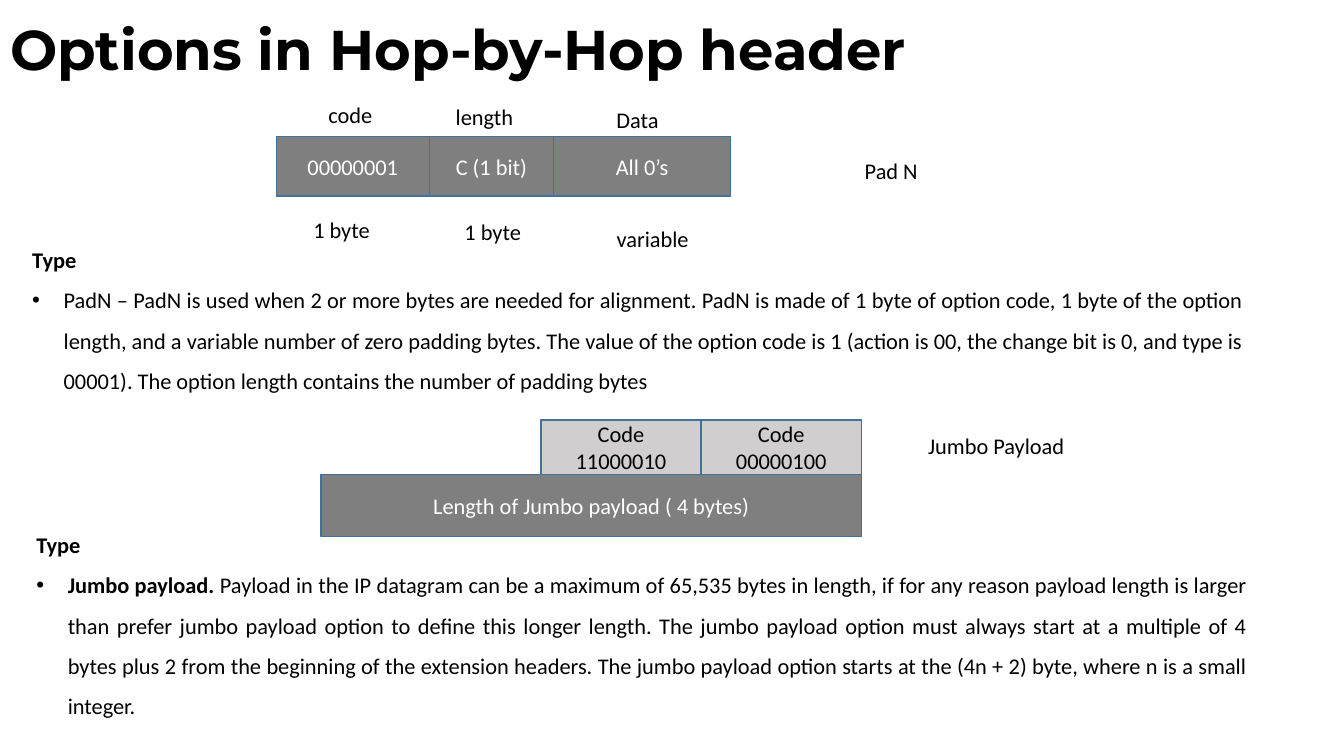
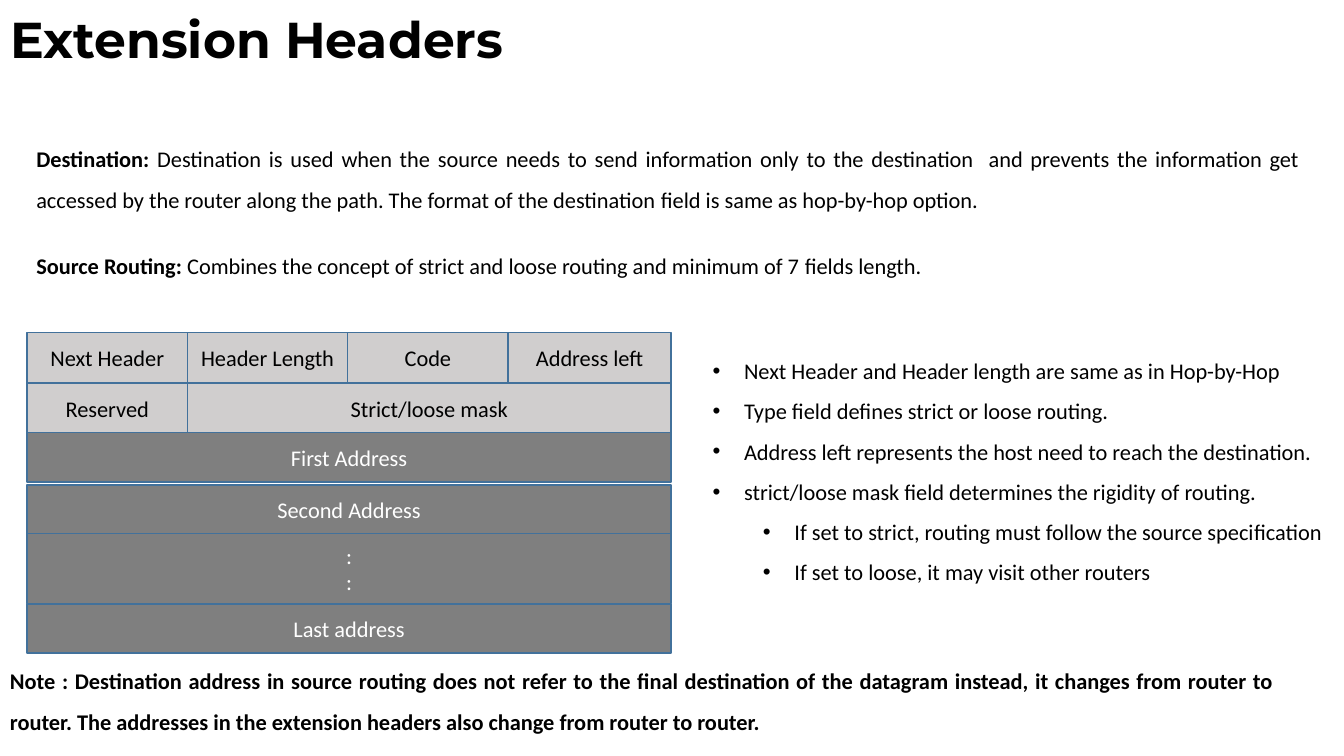
import pptx
import pptx.dml.color
import pptx.enum.text
import pptx.enum.shapes
import pptx.oxml.ns
import pptx.util
import lxml.etree
from dataclasses import dataclass

Pt = pptx.util.Pt
Align = pptx.enum.text.PP_ALIGN
Anchor = pptx.enum.text.MSO_ANCHOR


@dataclass(frozen=True)
class Theme:
    """Colours, fonts and sizes shared by both slides."""
    ink: str = "000000"
    paper: str = "FFFFFF"
    dark: str = "7F7F7F"
    light: str = "D0CECE"
    edge: str = "42719B"
    title_font: str = "Montserrat"
    body_font: str = "Calibri"
    body_size: int = 16
    leading: float = 1.5
    indent: float = 22.5
    level_step: float = 36
    label_height: float = 26.6


THEME = Theme()

# Paragraph: (level or None for no bullet, [(words, bold), ...], format overrides)
PADN = [
    (None, [("Type", True)], {}),
    (0, [("PadN – PadN is used when 2 or more bytes are needed for alignment. "
          "PadN is made of 1 byte of option code, 1 byte of the option length, and a "
          "variable number of zero padding bytes. The value of the option code is 1 "
          "(action is 00, the change bit is 0, and type is 00001). The option length "
          "contains the number of padding bytes", False)], {}),
]
JUMBO = [
    (None, [("Type", True)], {"line_spacing": 1.0}),
    (0, [("Jumbo payload. ", True),
         ("Payload in the IP datagram can be a maximum of 65,535 bytes in length, if for "
          "any reason payload length is larger than prefer jumbo payload option to deﬁne "
          "this longer length. The jumbo payload option must always start at a multiple of "
          "4 bytes plus 2 from the beginning of the extension headers. The jumbo payload "
          "option starts at the (4n + 2) byte, where n is a small integer.", False)], {}),
]
HEADERS = [
    (None, [("Destination: ", True),
            ("Destination is used when the source needs to send information only to the "
             "destination  and prevents the information get accessed by the router along "
             "the path. The format of the destination field is same as hop-by-hop option.",
             False)], {}),
    (None, [("Source Routing: ", True),
            ("Combines the concept of strict and loose routing and minimum of 7 fields "
             "length.", False)], {"space_before": Pt(18.3)}),
]
FIELDS = [(level, [(words, False)], {}) for level, words in [
    (0, "Next Header and Header length are same as in Hop-by-Hop"),
    (0, "Type field defines strict or loose routing."),
    (0, "Address left represents the host need to reach the destination."),
    (0, "strict/loose mask ﬁeld determines the rigidity of routing."),
    (1, "If set to strict, routing must follow the source specification"),
    (1, "If set to loose, it may visit other routers"),
]]
NOTE = [(None, [("Note : Destination address in source routing does not refer to the ﬁnal "
                 "destination of the datagram instead, it changes from router to router. The "
                 "addresses in the extension headers also change from router to router.",
                 True)], {})]

# Places are (left, top, width, height); rows are (left, top, height, tone, [(width, words)]);
# labels are (words, left, top, width, alignment).
SLIDES = [
    {
        "title": ("Options in Hop-by-Hop header", 40, 74.2),
        "bodies": [((15.8, 162.7, 879.8, 123.8), PADN), ((18.7, 375.8, 879.8, 143.3), JUMBO)],
        "rows": [
            (197.3, 97.5, 42.5, "dark",
             [(109.4, "00000001"), (88.6, "C (1 bit)"), (126.7, "All 0’s")]),
            (386.3, 300, 39.1, "light",
             [(114.5, "Code\n11000010"), (114.5, "Code\n00000100")]),
            (229.3, 339.1, 44, "dark", [(386, "Length of Jumbo payload ( 4 bytes)")]),
        ],
        "labels": [
            ("code", 216.7, 68.4, 67, Align.CENTER),
            ("length", 312.5, 69.8, 67, Align.CENTER),
            ("Data", 421.9, 72, 67, Align.CENTER),
            ("1 byte", 216.7, 151.2, 67, Align.LEFT),
            ("1 byte", 324.7, 152.6, 67, Align.LEFT),
            ("variable", 433.4, 157, 67, Align.LEFT),
            ("Pad N", 610.6, 108.7, 165.6, Align.LEFT),
            ("Jumbo Payload", 655.9, 305.3, 165.6, Align.LEFT),
        ],
        "notes": [],
    },
    {
        "title": ("Extension Headers", 36, 60.5),
        "bodies": [((18.7, 90.7, 917.3, 116.6), HEADERS), ((501.8, 241.9, 457.9, 181.4), FIELDS)],
        "rows": [
            (19.4, 237.6, 36, "light", [(114.5, "Next Header"), (114.5, "Header Length"),
                                        (114.5, "Code"), (116.5, "Address left")]),
            (19.4, 273.6, 36, "light", [(114.5, "Reserved"), (345.5, "Strict/loose mask")]),
            (19.4, 309, 35.3, "dark", [(460, "First Address")]),
            (19.4, 346.3, 35.3, "dark", [(460, "Second Address")]),
            (19.4, 381.2, 49.7, "dark", [(460, ":\n:")]),
            (19.4, 431.3, 35.3, "dark", [(460, "Last address")]),
        ],
        "labels": [],
        "notes": [((0, 463.7, 917.3, 65.5), NOTE)],
    },
]


def assign(target, values):
    """Set every attribute named in a dict of format values."""
    for name, value in values.items():
        setattr(target, name, value)


def colour(name):
    """Turn a theme colour's name into an RGB colour."""
    return pptx.dml.color.RGBColor.from_string(getattr(THEME, name))


def points(place):
    """Convert a tuple of numbers to lengths in points."""
    return [Pt(number) for number in place]


def style_frame(frame, anchor=Anchor.TOP):
    """Give a text frame wrapping, fixed size and common margins."""
    assign(frame, {"word_wrap": True, "auto_size": pptx.enum.text.MSO_AUTO_SIZE.NONE,
                   "vertical_anchor": anchor, "margin_left": Pt(7.2), "margin_right": Pt(7.2),
                   "margin_top": Pt(3.6), "margin_bottom": Pt(3.6)})


def add_span(para, words, bold=False, ink="ink", size=THEME.body_size, font=THEME.body_font):
    """Append one formatted run to a paragraph."""
    span = para.add_run()
    span.text = words
    assign(span.font, {"name": font, "size": Pt(size), "bold": bold})
    span.font.color.rgb = colour(ink)


def set_bullet(para, level):
    """Set a paragraph's indent and bullet, or neither if level is None."""
    props = para._p.get_or_add_pPr()
    qn = pptx.oxml.ns.qn
    if level is None:
        margin, indent = 0, 0
        lxml.etree.SubElement(props, qn("a:buNone"))
    else:
        para.level = level
        margin, indent = THEME.indent + level * THEME.level_step, -THEME.indent
        lxml.etree.SubElement(props, qn("a:buFont"), typeface="Arial")
        lxml.etree.SubElement(props, qn("a:buChar"), char="•")
    props.set("marL", str(int(Pt(margin))))
    props.set("indent", str(int(Pt(indent))))


def next_para(frame, index):
    """Return the frame's first paragraph, or a new one after it."""
    return frame.add_paragraph() if index else frame.paragraphs[0]


def write_passage(box, paras):
    """Fill a box with justified paragraphs and bullets."""
    style_frame(box.text_frame)
    for index, (level, spans, overrides) in enumerate(paras):
        para = next_para(box.text_frame, index)
        assign(para, {"alignment": Align.JUSTIFY, "line_spacing": THEME.leading,
                      "space_before": Pt(0), "space_after": Pt(0), **overrides})
        set_bullet(para, level)
        for words, bold in spans:
            add_span(para, words, bold)


def write_lines(box, words, align, ink="ink", anchor=Anchor.TOP):
    """Write short lines, one paragraph each."""
    style_frame(box.text_frame, anchor)
    for index, line in enumerate(words.split("\n")):
        para = next_para(box.text_frame, index)
        para.alignment = align
        add_span(para, line, ink=ink)


def place_box(box, place):
    """Move and size a placeholder."""
    assign(box, dict(zip(("left", "top", "width", "height"), points(place))))


def write_title(page, words, size, height):
    """Format the title placeholder."""
    title = page.shapes.title
    place_box(title, (0, 0, 797.8, height))
    style_frame(title.text_frame, Anchor.MIDDLE)
    para = title.text_frame.paragraphs[0]
    assign(para, {"alignment": Align.LEFT, "line_spacing": 0.9, "space_before": Pt(0)})
    add_span(para, words, True, size=size, font=THEME.title_font)


def add_row(page, left, top, height, tone, cells):
    """Draw header fields side by side."""
    for width, words in cells:
        field = page.shapes.add_shape(pptx.enum.shapes.MSO_SHAPE.RECTANGLE,
                                      *points((left, top, width, height)))
        field.shadow.inherit = False
        field.fill.solid()
        field.fill.fore_color.rgb = colour(tone)
        field.line.color.rgb = colour("edge")
        field.line.width = Pt(1)
        ink = "paper" if tone == "dark" else "ink"
        write_lines(field, words, Align.CENTER, ink, Anchor.MIDDLE)
        left += width


def build_page(deck, content):
    """Build one slide from its content."""
    page = deck.slides.add_slide(deck.slide_layouts[3])
    write_title(page, *content["title"])
    for index, (place, paras) in enumerate(content["bodies"], 1):
        body = page.placeholders[index]
        place_box(body, place)
        write_passage(body, paras)
    for row in content["rows"]:
        add_row(page, *row)
    for words, left, top, width, align in content["labels"]:
        label = page.shapes.add_textbox(*points((left, top, width, THEME.label_height)))
        write_lines(label, words, align)
    for place, paras in content["notes"]:
        write_passage(page.shapes.add_textbox(*points(place)), paras)


deck = pptx.Presentation()
assign(deck, {"slide_width": Pt(960), "slide_height": Pt(540)})
for content in SLIDES:
    build_page(deck, content)
deck.save("out.pptx")
